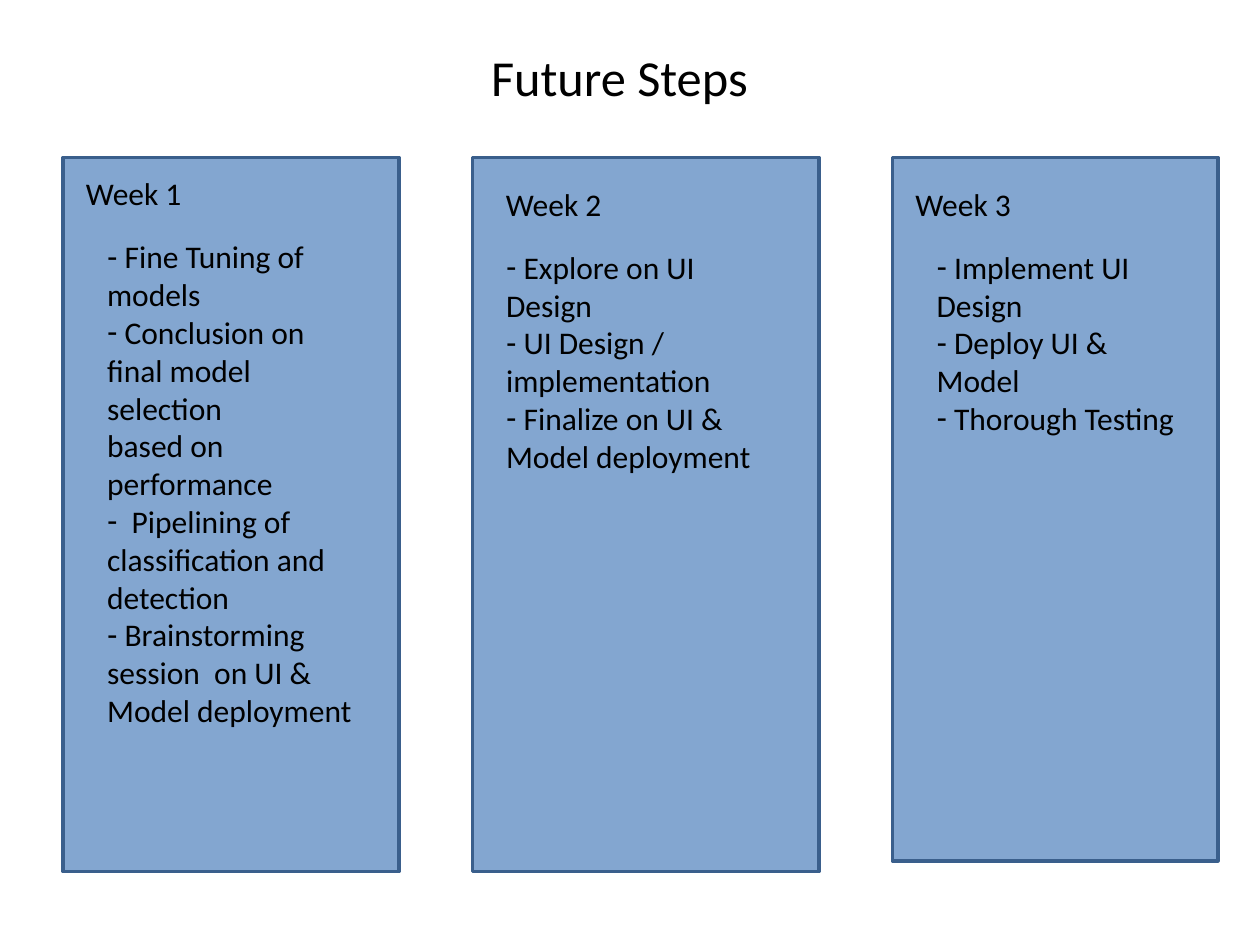
from dataclasses import dataclass

from lxml import etree
from pptx import Presentation
from pptx.dml.color import RGBColor
from pptx.enum.shapes import MSO_SHAPE
from pptx.enum.text import MSO_ANCHOR, MSO_AUTO_SIZE, PP_ALIGN
from pptx.oxml.ns import qn
from pptx.util import Pt

RECTANGLE = MSO_SHAPE.RECTANGLE
TOP, MIDDLE = MSO_ANCHOR.TOP, MSO_ANCHOR.MIDDLE
LEFT, CENTER = PP_ALIGN.LEFT, PP_ALIGN.CENTER
FIT_SHAPE, NO_FIT = MSO_AUTO_SIZE.SHAPE_TO_FIT_TEXT, MSO_AUTO_SIZE.NONE
COMPARISON_LAYOUT = 4


@dataclass(frozen=True)
class Theme:
    font: str = "Calibri"
    ink: RGBColor = RGBColor(0x00, 0x00, 0x00)
    panel: RGBColor = RGBColor(0x4F, 0x81, 0xBD)
    panel_opacity: int = 70
    border: RGBColor = RGBColor(0x3A, 0x5F, 0x8C)
    border_width: float = 2
    title_size: float = 28.8
    body_size: float = 18


@dataclass(frozen=True)
class Week:
    panel: tuple  # left, width, height
    heading: tuple  # left, top
    steps_box: tuple  # left, width, height
    name: str
    steps: tuple  # (bulleted, text)


THEME = Theme()
PANEL_TOP = 90
HEADING_SIZE = (168, 29)
STEPS_OFFSET = 36  # from the heading's top to the list's top

WEEKS = (
    Week((36, 192, 408), (42, 96), (54, 162, 291), "Week 1", (
        (True, " Fine Tuning of models"),
        (True, " Conclusion on final model selection"),
        (False, "based on performance"),
        (True, "  Pipelining of classification and detection"),
        (True, " Brainstorming session  on UI & Model deployment"),
    )),
    Week((270, 198, 408), (282, 102), (282, 162, 138), "Week 2", (
        (True, " Explore on UI Design"),
        (True, " UI Design / implementation"),
        (True, " Finalize on UI & Model deployment"),
    )),
    Week((510, 186, 402), (516, 102), (528, 156, 138), "Week 3", (
        (True, " Implement UI Design"),
        (True, " Deploy UI & Model"),
        (True, " Thorough Testing"),
    )),
)


def place(shape, left, top, width, height):
    shape.left, shape.top = Pt(left), Pt(top)
    shape.width, shape.height = Pt(width), Pt(height)


def set_frame(frame, anchor, fit):
    frame.word_wrap = True
    frame.auto_size = fit
    frame.vertical_anchor = anchor


def write(paragraph, text, size, align=LEFT):
    paragraph.alignment = align
    paragraph.space_before = Pt(0)
    run = paragraph.add_run()
    run.text = text
    run.font.name = THEME.font
    run.font.size = Pt(size)
    run.font.bold = False
    run.font.color.rgb = THEME.ink


def set_bullet(paragraph, bulleted):
    properties = paragraph._p.get_or_add_pPr()
    properties.set("marL", "0")
    properties.set("indent", "0")
    if bulleted:
        etree.SubElement(properties, qn("a:buChar"), char="-")
    else:
        etree.SubElement(properties, qn("a:buNone"))


def add_title(slide, text):
    title = slide.shapes.title
    place(title, 36, 21.6, 636, 44.6)
    set_frame(title.text_frame, MIDDLE, NO_FIT)
    write(title.text_frame.paragraphs[0], text, THEME.title_size, CENTER)


def add_panel(slide, left, width, height):
    panel = slide.shapes.add_shape(
        RECTANGLE, Pt(left), Pt(PANEL_TOP), Pt(width), Pt(height))
    panel.shadow.inherit = False
    panel.fill.solid()
    panel.fill.fore_color.rgb = THEME.panel
    color = panel._element.spPr.find(qn("a:solidFill"))[0]
    etree.SubElement(color, qn("a:alpha"), val=str(THEME.panel_opacity * 1000))
    panel.line.color.rgb = THEME.border
    panel.line.width = Pt(THEME.border_width)
    # Behind the placeholders, after the tree's two property elements
    slide.shapes._spTree.insert(2, panel._element)


def add_heading(slide, left, top, text):
    width, height = HEADING_SIZE
    heading = slide.shapes.add_textbox(Pt(left), Pt(top), Pt(width), Pt(height))
    set_frame(heading.text_frame, TOP, FIT_SHAPE)
    write(heading.text_frame.paragraphs[0], text, THEME.body_size)


def fill_steps(body, left, top, width, height, steps):
    place(body, left, top, width, height)
    frame = body.text_frame
    set_frame(frame, TOP, FIT_SHAPE)
    for index, (bulleted, text) in enumerate(steps):
        paragraph = frame.add_paragraph() if index else frame.paragraphs[0]
        write(paragraph, text, THEME.body_size)
        set_bullet(paragraph, bulleted)


def main():
    deck = Presentation()
    deck.slide_width, deck.slide_height = Pt(720), Pt(540)
    slide = deck.slides.add_slide(deck.slide_layouts[COMPARISON_LAYOUT])
    _, *bodies, spare = slide.placeholders

    add_title(slide, "Future Steps")

    # One column per week: panel, heading, list of steps
    for week, body in zip(WEEKS, bodies):
        add_panel(slide, *week.panel)
        add_heading(slide, *week.heading, week.name)
        left, width, height = week.steps_box
        steps_top = week.heading[1] + STEPS_OFFSET
        fill_steps(body, left, steps_top, width, height, week.steps)

    # The layout offers one body more than there are weeks
    slide.shapes._spTree.remove(spare._element)

    deck.save("out.pptx")


if __name__ == "__main__":
    main()
